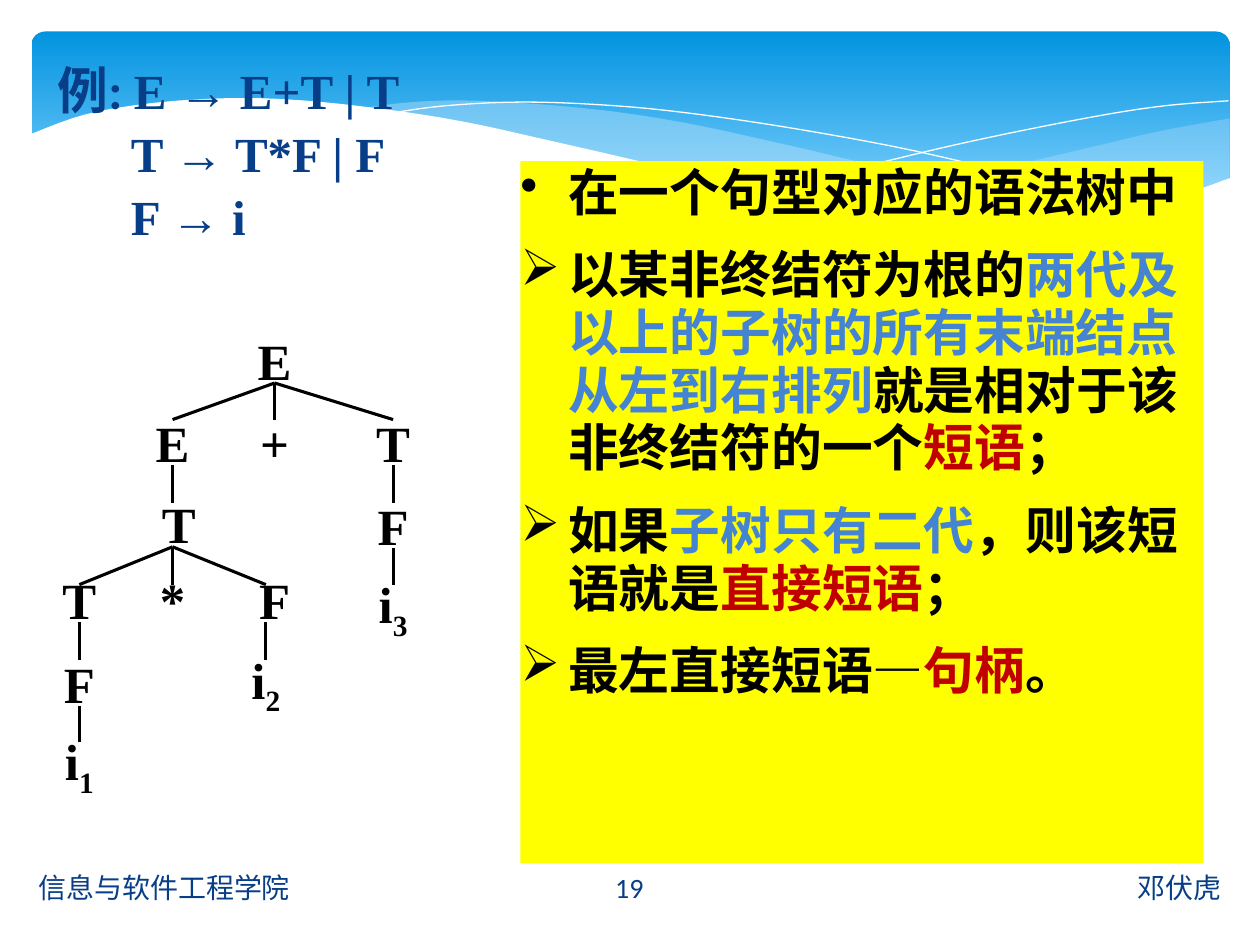
from lxml import etree
from pptx import Presentation
from pptx.dml.color import RGBColor
from pptx.enum.shapes import MSO_CONNECTOR, MSO_SHAPE
from pptx.enum.text import MSO_ANCHOR, PP_ALIGN
from pptx.oxml.ns import qn
from pptx.util import Inches, Pt

LEFT, CENTER, RIGHT = PP_ALIGN.LEFT, PP_ALIGN.CENTER, PP_ALIGN.RIGHT
TOP, MIDDLE = MSO_ANCHOR.TOP, MSO_ANCHOR.MIDDLE
NAVY, BLACK, WHITE = RGBColor(7, 62, 135), RGBColor(0, 0, 0), RGBColor(255, 255, 255)
BLUE, RED = RGBColor(0x45, 0x84, 0xD3), RGBColor(0xC0, 0, 0)
YELLOW, PALE = RGBColor(255, 255, 0), RGBColor(0xC6, 0xE7, 0xFC)
SKY, LIGHT_SKY = RGBColor(2, 0x93, 0xE0), RGBColor(0x83, 0xD3, 0xFE)
LATIN, SERIF, CHINESE = "Calibri", "Times New Roman", "Noto Sans CJK SC"

# Header waves: each is a list of smooth curves joined end to end
# (curves, fill, opacity in percent); no fill means an open white line
WAVES = [
    ([[(9.76, 0.94), (9.21, 1.04), (8.61, 1.18), (7.53, 1.43), (6.61, 1.6)],
      [(6.61, 1.6), (7.19, 1.67), (7.81, 1.72), (8.35, 1.72), (8.89, 1.66),
       (9.35, 1.56), (9.76, 1.41)]], PALE, 29),
    ([[(8.93, 1.67), (8.07, 1.54), (7.06, 1.34), (6.29, 1.16), (5.41, 0.97),
       (4.65, 0.86), (3.8, 0.8), (3.28, 0.81), (2.86, 0.86)],
      [(2.86, 0.86), (3.62, 0.97), (4.49, 1.16), (5.66, 1.43), (6.5, 1.58),
       (7.22, 1.68), (7.85, 1.72), (8.38, 1.72), (8.93, 1.67)]], PALE, 40),
    ([[(3.09, 0.9), (3.53, 0.84), (4.16, 0.81), (4.89, 0.84), (5.56, 0.91),
       (6.36, 1.03), (7.27, 1.2), (8.31, 1.45), (9.07, 1.66)]], None, 100),
    ([[(6.13, 1.51), (6.95, 1.3), (7.76, 1.11), (8.66, 0.93), (9.24, 0.84),
       (9.75, 0.8)]], None, 100),
    ([[(9.77, 1.41), (9.3, 1.57), (8.75, 1.67), (8.09, 1.71), (7.44, 1.68),
       (6.68, 1.6), (5.79, 1.44), (4.47, 1.14), (3.65, 0.96), (2.92, 0.85),
       (2.3, 0.79), (1.77, 0.78), (1.19, 0.82), (0.67, 0.91), (0.23, 1.07)],
      [(0.23, 2.24), (9.77, 2.24)]], WHITE, 100),
]

# Footer: text, left, width, alignment
FOOTER = [("邓伏虎", 5.65, 4.14, RIGHT), ("信息与软件工程学院", 0.21, 4.14, LEFT),
          ("19", 4.36, 1.27, CENTER)]

# Grammar: runs of (text, font, size) and the left indent
GRAMMAR = [([("例: ", LATIN, 29), ("E → E+T | T", SERIF, 28)], 0),
           ([("T → T*F | F", SERIF, 28)], 0.58),
           ([("F → i", SERIF, 28)], 0.58)]

# Syntax tree nodes: name -> label, subscript, centre x, top
NODE_WIDTH, NODE_HEIGHT, EDGE_HEIGHT = 0.54, 0.36, 0.3
NODES = {
    "root": ("E", "", 2.18, 2.68),
    "left E": ("E", "", 1.37, 3.33), "plus": ("+", "", 2.18, 3.33),
    "right T": ("T", "", 3.12, 3.33),
    "term": ("T", "", 1.42, 3.97), "right F": ("F", "", 3.12, 3.99),
    "left T": ("T", "", 0.63, 4.58), "times": ("*", "", 1.37, 4.58),
    "middle F": ("F", "", 2.18, 4.58), "i3": ("i", "3", 3.12, 4.64),
    "left F": ("F", "", 0.63, 5.24), "i2": ("i", "2", 2.11, 5.24),
    "i1": ("i", "1", 0.63, 5.89),
}
# Edges: parent, child, start x, end x, start y
EDGES = [
    ("root", "left E", 2.18, 1.37, 3.04), ("root", "plus", 2.18, 2.18, 3.04),
    ("root", "right T", 2.18, 3.12, 3.04),
    ("left E", "term", 1.37, 1.37, 3.69), ("right T", "right F", 3.12, 3.12, 3.69),
    ("term", "left T", 1.37, 0.63, 4.34), ("term", "times", 1.37, 1.37, 4.34),
    ("term", "middle F", 1.37, 2.11, 4.34), ("right F", "i3", 3.12, 3.12, 4.34),
    ("left T", "left F", 0.63, 0.63, 4.94), ("middle F", "i2", 2.11, 2.11, 4.94),
    ("left F", "i1", 0.63, 0.63, 5.6),
]

# Definitions: bullet, runs of (text, colour)
DEFINITIONS = [
    ("•", [("在一个句型对应的语法树中", BLACK)]),
    ("➢", [("以某非终结符为根的", BLACK),
           ("两代及以上的子树的所有末端结点从左到右排列", BLUE),
           ("就是相对于该非终结符的一个", BLACK), ("短语", RED), ("；", BLACK)]),
    ("➢", [("如果", BLACK), ("子树只有二代", BLUE), ("，则该短语就是", BLACK),
           ("直接短语", RED), ("；", BLACK)]),
    ("➢", [("最左直接短语—", BLACK), ("句柄", RED), ("。", BLACK)]),
]


def smooth(anchors, steps=5):
    """Points of a Catmull-Rom curve through the anchors."""
    if len(anchors) < 3:
        return anchors
    padded = [anchors[0], *anchors, anchors[-1]]
    points = [anchors[0]]
    for a, b, c, d in zip(padded, padded[1:], padded[2:], padded[3:]):
        for step in range(1, steps + 1):
            t = step / steps
            points.append(tuple(
                0.5 * (2 * q + (r - p) * t + (2 * p - 5 * q + 4 * r - s) * t ** 2
                       + (3 * q - p - 3 * r + s) * t ** 3)
                for p, q, r, s in zip(a, b, c, d)))
    return points


def add_wave(slide, curves, fill, opacity):
    points = [(Inches(x), Inches(y)) for curve in curves for x, y in smooth(curve)]
    builder = slide.shapes.build_freeform(*points[0])
    builder.add_line_segments(points[1:], close=fill is not None)
    shape = builder.convert_to_shape()
    shape.shadow.inherit = False
    if fill is None:
        shape.fill.background()
        shape.line.color.rgb = WHITE
        shape.line.width = Pt(0)
        return
    shape.line.fill.background()
    shape.fill.solid()
    shape.fill.fore_color.rgb = fill
    if opacity < 100:
        color = shape.fill._xPr.find(".//" + qn("a:srgbClr"))
        etree.SubElement(color, qn("a:alpha"), val=str(opacity * 1000))


def add_text_box(slide, left, top, width, height, anchor=MIDDLE, wrap=True):
    box = slide.shapes.add_textbox(*map(Inches, (left, top, width, height)))
    box.text_frame.word_wrap = wrap
    box.text_frame.vertical_anchor = anchor
    return box


def add_run(paragraph, text, font, size, color, bold=True):
    run = paragraph.add_run()
    run.text = text
    run.font.name, run.font.size, run.font.bold = font, Pt(size), bold
    run.font.color.rgb = color
    etree.SubElement(run.font._element, qn("a:ea"), typeface=CHINESE)
    return run


def next_paragraph(frame, index):
    return frame.add_paragraph() if index else frame.paragraphs[0]


presentation = Presentation()
presentation.slide_width, presentation.slide_height = Inches(10), Inches(7.5)
slide = presentation.slides.add_slide(presentation.slide_layouts[6])

# Header band and waves
band = slide.shapes.add_shape(MSO_SHAPE.ROUNDED_RECTANGLE,
                              *map(Inches, (0.25, 0.25, 9.51, 1.56)))
band.adjustments[0] = 0.07
band.shadow.inherit = False
band.line.fill.background()
band.fill.gradient()
band.fill.gradient_angle = 270
for stop, color, position in zip(band.fill.gradient_stops, (SKY, LIGHT_SKY), (0, 0.9)):
    stop.color.rgb, stop.position = color, position
for wave in WAVES:
    add_wave(slide, *wave)

# Footer
for text, left, width, alignment in FOOTER:
    paragraph = add_text_box(slide, left, 6.84, width, 0.4).text_frame.paragraphs[0]
    paragraph.alignment = alignment
    add_run(paragraph, text, LATIN, 16, NAVY, bold=False)

# Grammar
frame = add_text_box(slide, 0.36, 0.47, 9.37, 1.63, TOP).text_frame
for index, (runs, indent) in enumerate(GRAMMAR):
    paragraph = next_paragraph(frame, index)
    paragraph.line_spacing = 0.9
    paragraph.space_before = Pt(5.8 if index else 0)
    paragraph._p.get_or_add_pPr().set("marL", str(Inches(indent)))
    for text, font, size in runs:
        add_run(paragraph, text, font, size, NAVY)

# Syntax tree
boxes = {}
for name, (label, subscript, center, top) in NODES.items():
    boxes[name] = add_text_box(slide, center - NODE_WIDTH / 2, top,
                               NODE_WIDTH, NODE_HEIGHT, wrap=False)
    paragraph = boxes[name].text_frame.paragraphs[0]
    paragraph.alignment = CENTER
    add_run(paragraph, label, SERIF, 29, BLACK)
    if subscript:
        run = add_run(paragraph, subscript, SERIF, 29, BLACK)
        run.font._element.set("baseline", "-25000")
for parent, child, start_x, end_x, y in EDGES:
    end_y = y + EDGE_HEIGHT
    edge = slide.shapes.add_connector(MSO_CONNECTOR.STRAIGHT,
                                      *map(Inches, (start_x, y, end_x, end_y)))
    edge.line.color.rgb, edge.line.width = BLACK, Pt(1.75)
    etree.SubElement(edge._element.spPr, qn("a:effectLst"))
    _, _, parent_x, parent_top = NODES[parent]
    _, _, child_x, child_top = NODES[child]
    if abs(parent_x - start_x) + abs(parent_top + NODE_HEIGHT - y) < 0.02:
        edge.begin_connect(boxes[parent], 2)
    if abs(child_x - end_x) + abs(child_top - end_y) < 0.02:
        edge.end_connect(boxes[child], 0)

# Definitions panel
panel = slide.shapes.add_shape(MSO_SHAPE.RECTANGLE, *map(Inches, (4.13, 1.28, 5.42, 5.57)))
panel.shadow.inherit = False
panel.fill.solid()
panel.fill.fore_color.rgb = YELLOW
panel.line.fill.background()
frame = panel.text_frame
frame.word_wrap, frame.vertical_anchor = True, TOP
frame.margin_left = frame.margin_right = frame.margin_bottom = 0
frame.margin_top = Inches(0.02)
for index, (bullet, runs) in enumerate(DEFINITIONS):
    paragraph = next_paragraph(frame, index)
    paragraph.alignment = LEFT
    paragraph.line_spacing, paragraph.space_after = Pt(33), Pt(14.1)
    properties = paragraph._p.get_or_add_pPr()
    properties.set("marL", str(Inches(0.38)))
    properties.set("indent", str(Inches(-0.38)))
    etree.SubElement(properties, qn("a:buChar"), char=bullet)
    for text, color in runs:
        add_run(paragraph, text, CHINESE, 29, color)

presentation.save("out.pptx")
